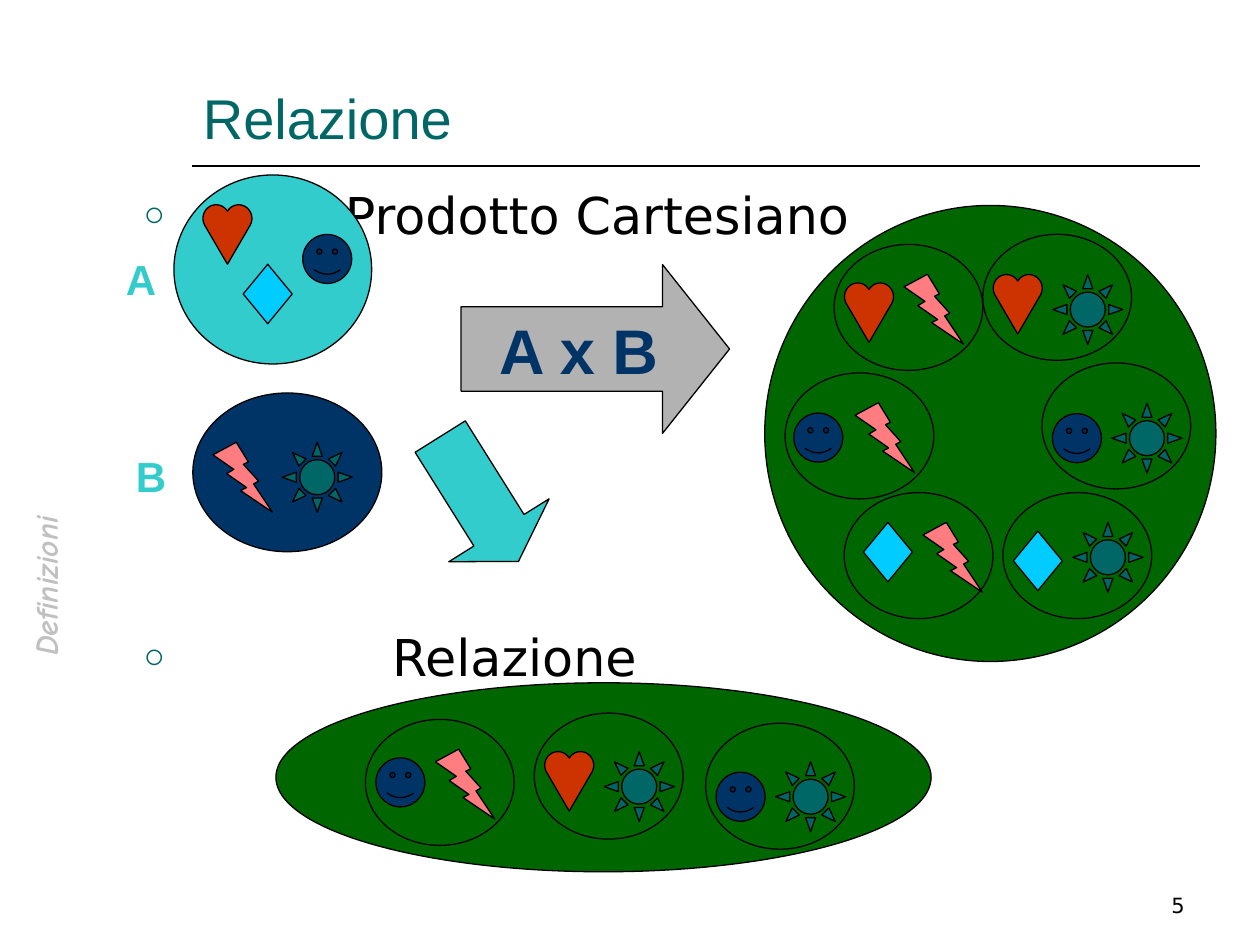
from math import cos, radians, sin

from lxml.etree import SubElement
from pptx import Presentation
from pptx.dml.color import RGBColor
from pptx.enum.shapes import MSO_CONNECTOR, MSO_SHAPE
from pptx.enum.text import MSO_ANCHOR, MSO_AUTO_SIZE, PP_ALIGN
from pptx.oxml.ns import qn
from pptx.util import Pt

BLACK, TEAL, NAVY = "000000", "006666", "003366"
AQUA, GREEN, GREY = "33CCCC", "006600", "B2B2B2"

# Bulleted text, text indent, space before
BULLETS = [("Prodotto Cartesiano", 115, 0), ("Relazione", 142, 218)]

# Name: preset shape (None for the drawn heart), width, height, fill
SYMBOLS = {
    "heart": (None, 28, 34, "CC3300"),
    "smiley": (MSO_SHAPE.SMILEY_FACE, 28, 28, NAVY),
    "diamond": (MSO_SHAPE.DIAMOND, 28, 34, "00CCFF"),
    "bolt": (MSO_SHAPE.LIGHTNING_BOLT, 34, 40, "FF7C80"),
    "sun": (MSO_SHAPE.SUN, 40, 40, TEAL),
}

# Source sets: ellipse box, fill, symbols with left and top, label with left and top
SOURCE_SETS = [
    ((99.4, 100, 113, 108), AQUA,
     [("heart", 116, 117), ("smiley", 173, 134), ("diamond", 139, 151)], ("A", 64.8, 141.6)),
    ((110.2, 224.6, 108, 90.7), NAVY,
     [("bolt", 121.7, 252.7), ("sun", 161.3, 252.7)], ("B", 70.6, 254)),
]

# Sets of pairs: ellipse box, then per pair its left and top and
# both symbols with their offsets inside the pair
PAIR_WIDTH, PAIR_HEIGHT = 85, 72
PAIR_SETS = [
    ((437, 117.4, 257.8, 260.6), [
        (476.6, 139.7, ("heart", 6, 22), ("bolt", 40, 17)),
        (448.6, 213.1, ("smiley", 5, 23), ("bolt", 40, 17)),
        (595.4, 207.4, ("smiley", 6, 29), ("sun", 40, 23)),
        (561.6, 133.9, ("heart", 6, 23), ("sun", 40, 23)),
        (482.4, 281.5, ("diamond", 11, 17), ("bolt", 45, 17)),
        (573.1, 281.5, ("diamond", 6, 22), ("sun", 40, 17)),
    ]),
    ((157.7, 390.2, 374.4, 108), [
        (208.8, 411.1, ("smiley", 6, 22), ("bolt", 40, 17)),
        (305.3, 407.5, ("heart", 6, 22), ("sun", 40, 22)),
        (403.2, 413.3, ("smiley", 6, 28), ("sun", 40, 22)),
    ]),
]

# Arrows: box, rotation, head proportion, fill, text
ARROWS = [
    ((263.5, 151.2, 153.4, 96.5), 0, 0.397, GREY, "A x B"),
    ((231.8, 251.3, 84.2, 67.7), 57.9, 0.31, AQUA, ""),
]


def color(value):
    return RGBColor.from_string(value)


def format_paragraph(paragraph, size, font_name, font_color, bold=False, italic=False, align=PP_ALIGN.LEFT):
    paragraph.alignment = align
    for run in paragraph.runs:
        font = run.font
        font.size, font.name = Pt(size), font_name
        font.bold, font.italic = bold, italic
        font.color.rgb = color(font_color)


def place(shape, box):
    shape.left, shape.top, shape.width, shape.height = map(Pt, box)


def style_shape(shape, fill):
    shape.shadow.inherit = False
    if fill:
        shape.fill.solid()
        shape.fill.fore_color.rgb = color(fill)
    else:
        shape.fill.background()
    shape.line.color.rgb = color(BLACK)
    shape.line.width = Pt(0.75)


def add_preset(shapes, preset, box, fill=None):
    shape = shapes.add_shape(preset, *map(Pt, box))
    style_shape(shape, fill)
    return shape


def add_heart(shapes, left, top, width, height, fill):
    """Draw two elliptical lobes that meet in a notch and run down to a tip."""
    angles = [radians(degree) for degree in range(-28, 149, 8)]
    left_lobe = [(0.27 - 0.27 * cos(angle), 0.23 - 0.23 * sin(angle)) for angle in angles]
    right_lobe = [(1 - x, y) for x, y in reversed(left_lobe)]
    points = [(Pt(left + x * width), Pt(top + y * height))
              for x, y in [(0.5, 1)] + left_lobe + right_lobe]
    builder = shapes.build_freeform(*points[0], scale=1.0)
    builder.add_line_segments(points[1:], close=True)
    style_shape(builder.convert_to_shape(), fill)


def add_symbol(shapes, name, left, top):
    preset, width, height, fill = SYMBOLS[name]
    if preset is None:
        add_heart(shapes, left, top, width, height, fill)
    else:
        add_preset(shapes, preset, (left, top, width, height), fill)


def add_text(shapes, text, box, wrap=True, anchor=MSO_ANCHOR.TOP, **style):
    text_box = shapes.add_textbox(*map(Pt, box))
    frame = text_box.text_frame
    frame.word_wrap, frame.vertical_anchor = wrap, anchor
    frame.text = text
    format_paragraph(frame.paragraphs[0], **style)
    return text_box


def add_bullet(paragraph, indent):
    properties = paragraph._p.get_or_add_pPr()
    properties.set("marL", str(Pt(indent)))
    properties.set("indent", str(-Pt(indent)))
    bullet_color = SubElement(properties, qn("a:buClr"))
    SubElement(bullet_color, qn("a:srgbClr"), val=TEAL)
    SubElement(properties, qn("a:buSzPct"), val="70000")
    SubElement(properties, qn("a:buChar"), char="○")


def fill_placeholders(slide):
    title, body = slide.placeholders
    place(title, (108.7, 0, 611.3, 90))
    title.text_frame.text = "Relazione"
    title.text_frame.vertical_anchor = MSO_ANCHOR.BOTTOM
    title.text_frame.auto_size = MSO_AUTO_SIZE.NONE
    format_paragraph(title.text_frame.paragraphs[0], 32, "Arial", TEAL)

    place(body, (74.9, 101.4, 609.1, 388))
    frame = body.text_frame
    frame.auto_size = MSO_AUTO_SIZE.NONE
    frame.text = "\n".join(text for text, _, _ in BULLETS)
    for paragraph, (_, indent, space_before) in zip(frame.paragraphs, BULLETS):
        add_bullet(paragraph, indent)
        paragraph.space_before = Pt(space_before)
        format_paragraph(paragraph, 29, "DejaVu Sans", BLACK)


def add_title_rule(shapes):
    rule = shapes.add_connector(MSO_CONNECTOR.STRAIGHT, Pt(110), Pt(95), Pt(686), Pt(95))
    rule.line.color.rgb = color(BLACK)
    rule.line.width = Pt(1)
    SubElement(rule._element.spPr, qn("a:effectLst"))


def main():
    presentation = Presentation()
    presentation.slide_width, presentation.slide_height = Pt(720), Pt(540)
    slide = presentation.slides.add_slide(presentation.slide_layouts[1])
    fill_placeholders(slide)
    add_title_rule(slide.shapes)

    section = add_text(slide.shapes, "Definizioni", (-56.2, 326.2, 164.2, 17.3), wrap=False,
                       anchor=MSO_ANCHOR.MIDDLE, size=18, font_name="Comic Neue",
                       font_color="C0C0C0", bold=True, italic=True, align=PP_ALIGN.CENTER)
    section.rotation = 270

    for box, pairs in PAIR_SETS:
        shapes = slide.shapes.add_group_shape().shapes
        add_preset(shapes, MSO_SHAPE.OVAL, box, GREEN)
        for left, top, *symbols in pairs:
            for name, offset_x, offset_y in symbols:
                add_symbol(shapes, name, left + offset_x, top + offset_y)
            add_preset(shapes, MSO_SHAPE.OVAL, (left, top, PAIR_WIDTH, PAIR_HEIGHT))

    for box, fill, symbols, (label, left, top) in SOURCE_SETS:
        shapes = slide.shapes.add_group_shape().shapes
        add_preset(shapes, MSO_SHAPE.OVAL, box, fill)
        for symbol in symbols:
            add_symbol(shapes, *symbol)
        add_text(shapes, label, (left, top, 33.8, 36), size=24, font_name="Arial",
                 font_color=AQUA, bold=True)

    for box, rotation, head, fill, text in ARROWS:
        arrow = add_preset(slide.shapes, MSO_SHAPE.RIGHT_ARROW, box, fill)
        arrow.adjustments[1] = head
        arrow.rotation = rotation
        if text:
            arrow.text_frame.text = text
            arrow.text_frame.word_wrap = False
            format_paragraph(arrow.text_frame.paragraphs[0], 36, "Arial", NAVY, bold=True,
                             align=PP_ALIGN.CENTER)

    add_text(slide.shapes, "5", (516.2, 491.8, 167.8, 36), anchor=MSO_ANCHOR.BOTTOM, size=12,
             font_name="DejaVu Sans", font_color=BLACK, align=PP_ALIGN.RIGHT)
    presentation.save("out.pptx")


if __name__ == "__main__":
    main()
